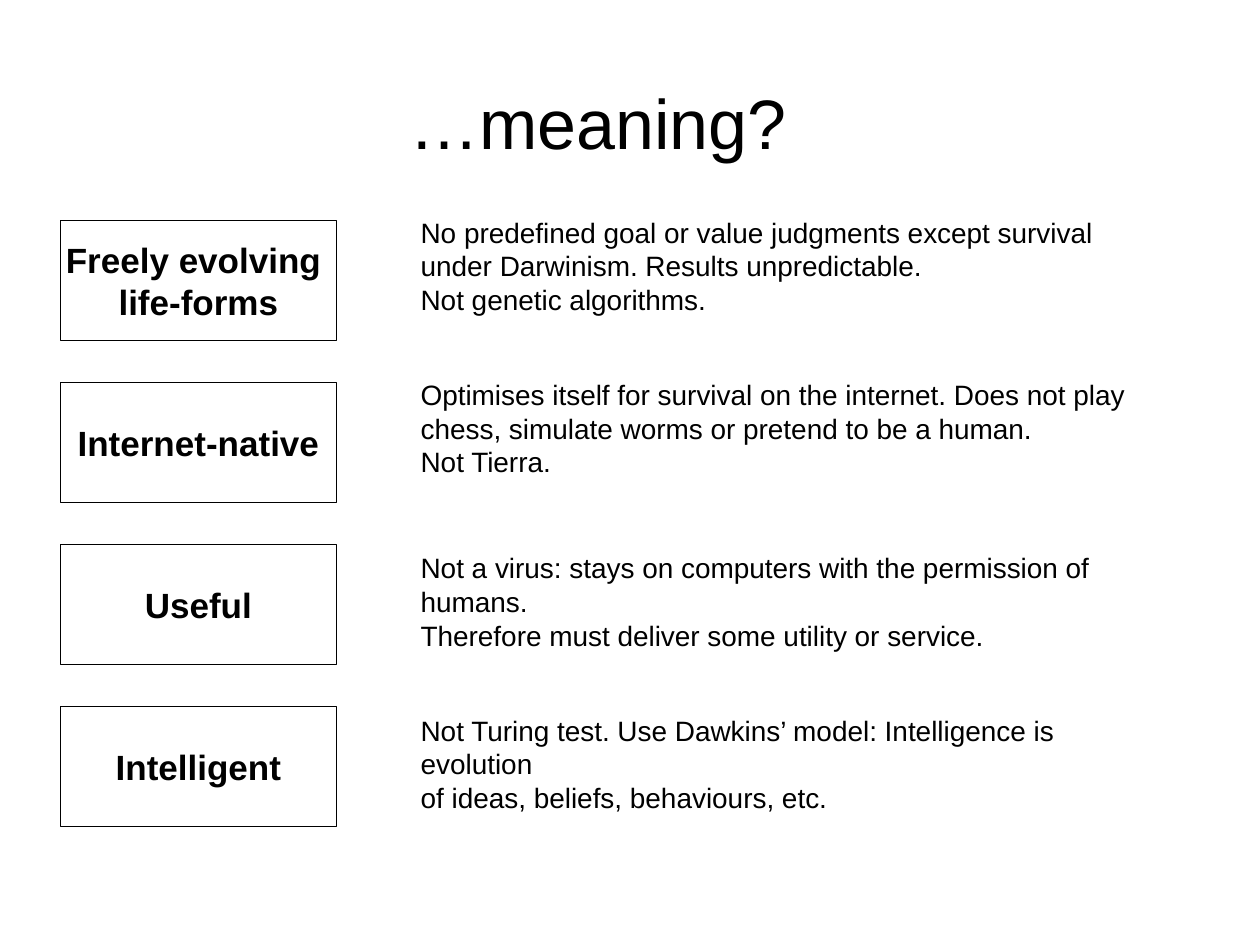
from pptx import Presentation
from pptx.dml.color import RGBColor
from pptx.enum.shapes import MSO_SHAPE
from pptx.enum.text import MSO_ANCHOR, PP_ALIGN
from pptx.util import Inches, Pt

RECTANGLE = MSO_SHAPE.RECTANGLE
TOP, MIDDLE, BOTTOM = MSO_ANCHOR.TOP, MSO_ANCHOR.MIDDLE, MSO_ANCHOR.BOTTOM
LEFT, CENTER = PP_ALIGN.LEFT, PP_ALIGN.CENTER
BLACK = RGBColor(0, 0, 0)
FONT = "Arial"

SLIDE_WIDTH, SLIDE_HEIGHT = 10, 7.5
TITLE_BOX = (1.58, 0.58, 6.33, 0.77)
TERMS_BOX = (0.48, 1.75, 8.69, 4.81)
ROW_HEIGHT = 0.95
TERM_WIDTH = 2.19
MEANING_OFFSET = 2.76
THREE_LINE_LIFT = 0.09

TERMS = [
    ("Freely evolving \vlife-forms",
     ["No predefined goal or value judgments except survival",
      "under Darwinism. Results unpredictable.",
      "Not genetic algorithms."], False, THREE_LINE_LIFT),
    ("Internet-native",
     ["Optimises itself for survival on the internet. Does not play chess, "
      "simulate worms or pretend to be a human.",
      "Not Tierra."], True, THREE_LINE_LIFT),
    ("Useful",
     ["Not a virus: stays on computers with the permission of humans.",
      "Therefore must deliver some utility or service."], False, 0),
    ("Intelligent",
     ["Not Turing test. Use Dawkins’ model: Intelligence is evolution",
      "of ideas, beliefs, behaviours, etc."], False, 0),
]


def write(shape, lines, size, align=LEFT, anchor=TOP, bold=False, wrap=False):
    frame = shape.text_frame
    frame.word_wrap = wrap
    frame.vertical_anchor = anchor
    for index, line in enumerate(lines):
        paragraph = frame.add_paragraph() if index else frame.paragraphs[0]
        paragraph.text = line
        paragraph.alignment = align
        paragraph.font.name = FONT
        paragraph.font.size = Pt(size)
        paragraph.font.bold = bold
        paragraph.font.color.rgb = BLACK


def add_title(slide, box):
    title = slide.shapes.add_textbox(*map(Inches, box))
    write(title, ["…meaning?"], 40, CENTER, BOTTOM, wrap=True)


def add_term(slide, box, term):
    frame = slide.shapes.add_shape(RECTANGLE, *map(Inches, box))
    frame.shadow.inherit = False
    frame.fill.background()
    frame.line.color.rgb = BLACK
    frame.line.width = Pt(0.75)
    write(frame, [term], 20, CENTER, MIDDLE, bold=True)


def add_terms(slide, box):
    left, top, width, height = box
    pitch = (height - ROW_HEIGHT) / (len(TERMS) - 1)
    for row, (term, meaning, wrap, lift) in enumerate(TERMS):
        row_top = top + row * pitch
        add_term(slide, (left, row_top, TERM_WIDTH, ROW_HEIGHT), term)
        meaning_box = (left + MEANING_OFFSET, row_top - lift,
                       width - MEANING_OFFSET, ROW_HEIGHT)
        explanation = slide.shapes.add_textbox(*map(Inches, meaning_box))
        write(explanation, meaning, 16, wrap=wrap)


def main():
    presentation = Presentation()
    presentation.slide_width = Inches(SLIDE_WIDTH)
    presentation.slide_height = Inches(SLIDE_HEIGHT)
    slide = presentation.slides.add_slide(presentation.slide_layouts[6])
    add_title(slide, TITLE_BOX)
    add_terms(slide, TERMS_BOX)
    presentation.save("out.pptx")


if __name__ == "__main__":
    main()
